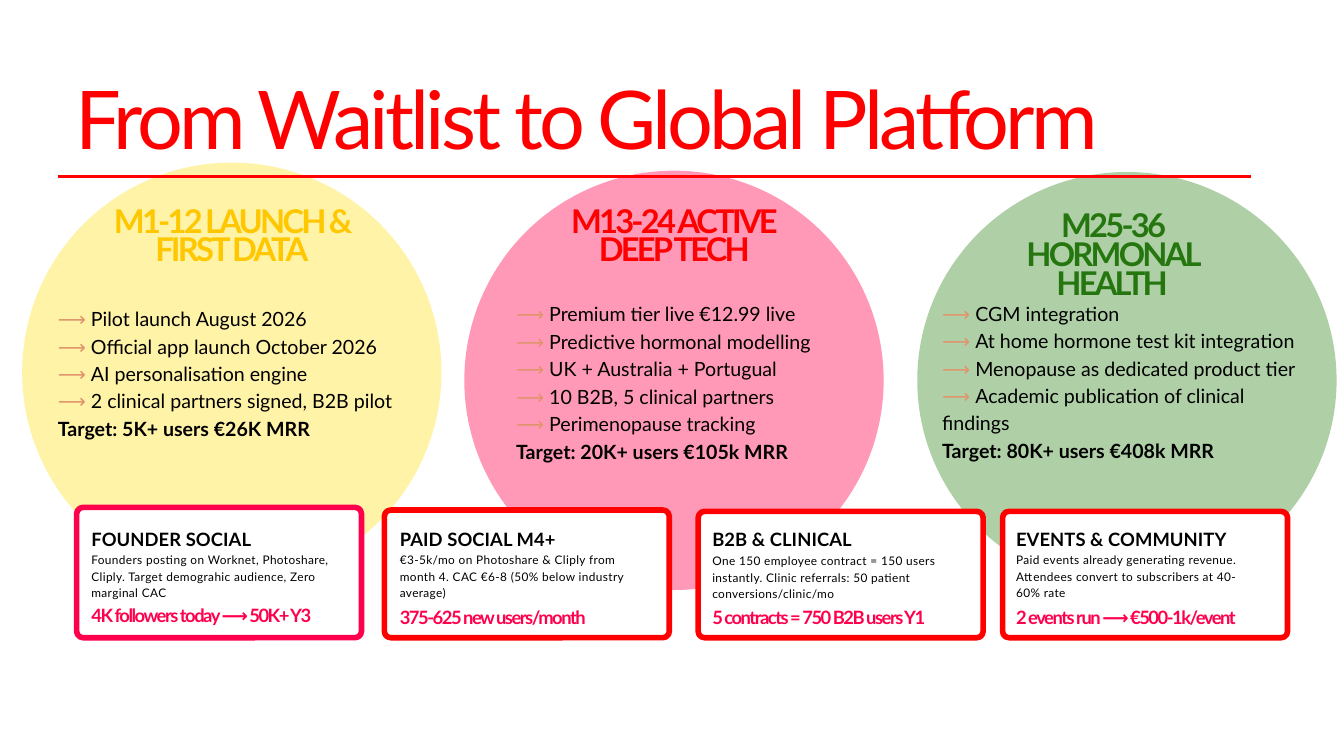
"""Build the roadmap slide with three phases and four growth channels."""
from lxml import etree
from pptx import Presentation
from pptx import util as u
from pptx.dml.color import RGBColor
from pptx.enum import shapes, text
from pptx.oxml import ns

COLORS = {
    "red": "FF0000", "pink": "FF004D", "yellow": "FFE324", "gold": "FFC700",
    "green": "398B24", "forest": "25760F", "arrow": "E1946C",
    "black": "000000", "white": "FFFFFF",
}
ARROW = "⟶ "


def rgb(name):
    return RGBColor.from_string(COLORS[name])


def add_text(content, at, size, leading, color="black", bold=False, spacing=0, center=False, goals=False):
    tf = s.shapes.add_textbox(*map(u.Inches, at)).text_frame
    tf.word_wrap = True
    tf.margin_left = tf.margin_right = tf.margin_top = tf.margin_bottom = 0
    for i, line in enumerate(content.split("\n")):
        p = tf.paragraphs[0] if i == 0 else tf.add_paragraph()
        p.line_spacing = u.Pt(leading)
        p.alignment = text.PP_ALIGN.CENTER if center else text.PP_ALIGN.LEFT
        parts = [(line, color, bold)]
        if goals:
            is_target = line.startswith("Target:")
            parts = [(line, color, is_target)]
            if not is_target:
                parts.insert(0, (ARROW, "arrow", False))
        for words, shade, strong in parts:
            r = p.add_run()
            r.text = words
            r.font.name = "Lato"
            r.font.size = u.Pt(size)
            r.font.bold = strong
            r.font.color.rgb = rgb(shade)
            if spacing:
                r.font._element.set("spc", str(round(spacing * 100)))


prs = Presentation()
prs.slide_width, prs.slide_height = u.Inches(20), u.Inches(11.25)
s = prs.slides.add_slide(prs.slide_layouts[6])

phases = [
    ("yellow", (0.33, 2.42, 6.24, 6.24), "gold", "M1-12 LAUNCH & FIRST DATA", (1.68, 3.14, 3.54, 0.9),
     "Pilot launch August 2026\nOfficial app launch October 2026\nAI personalisation engine\n"
     "2 clinical partners signed, B2B pilot\nTarget: 5K+ users €26K MRR", (0.86, 4.51, 5.18, 2.02)),
    ("pink", (6.91, 2.54, 6.24, 6.24), "red", "M13-24 ACTIVE\nDEEP TECH", (8.13, 3.14, 3.81, 0.9),
     "Premium tier live €12.99 live\nPredictive hormonal modelling\nUK + Australia + Portugual\n"
     "10 B2B, 5 clinical partners\nPerimenopause tracking\nTarget: 20K+ users €105k MRR",
     (7.68, 4.44, 5.1, 2.43)),
    ("green", (13.65, 2.56, 6.24, 6.2), "forest", "M25-36 HORMONAL HEALTH", (14.49, 3.21, 4.12, 0.9),
     "CGM integration\nAt home hormone test kit integration\nMenopause as dedicated product tier\n"
     "Academic publication of clinical findings\nTarget: 80K+ users €408k MRR", (14.02, 4.43, 5.51, 2.43)),
]
for fill, circle, color, heading, heading_at, goals, goals_at in phases:
    sp = s.shapes.add_shape(shapes.MSO_SHAPE.OVAL, *map(u.Inches, circle))
    sp.shadow.inherit = False
    sp.fill.solid()
    sp.fill.fore_color.rgb = rgb(fill)
    sp.line.fill.background()
    tint = sp._element.spPr.find(ns.qn("a:solidFill"))[0]
    etree.SubElement(tint, ns.qn("a:alpha"), val="40000")
    add_text(heading, heading_at, 35, 30.8, color=color, bold=True, spacing=-3, center=True)
    add_text(goals, goals_at, 21, 29.4, goals=True)

card_bottom = 9.49
channels = [
    (1.14, 7.55, "pink", 1.36, 7.8, 8.19, 8.94, 3.77, "FOUNDER SOCIAL",
     "Founders posting on Worknet, Photoshare, Cliply. Target demograhic audience, Zero marginal CAC",
     "4K followers today ⟶ 50K+ Y3"),
    (5.72, 7.59, "red", 5.95, 7.8, 8.19, 8.97, 3.55, "PAID SOCIAL M4+",
     "€3-5k/mo on Photoshare & Cliply from month 4. CAC €6-8 (50% below industry average)",
     "375-625 new users/month"),
    (10.39, 7.61, "red", 10.6, 7.81, 8.21, 8.97, 3.76, "B2B & CLINICAL",
     "One 150 employee contract = 150 users instantly. Clinic referrals: 50 patient conversions/clinic/mo",
     "5 contracts = 750 B2B users Y1"),
    (14.92, 7.61, "red", 15.12, 7.8, 8.19, 8.97, 3.61, "EVENTS & COMMUNITY",
     "Paid events already generating revenue. Attendees convert to subscribers at 40-60% rate",
     "2 events run ⟶ €500-1k/event"),
]
for left, top, border, x, name_y, detail_y, result_y, width, name, detail, result in channels:
    sp = s.shapes.add_shape(shapes.MSO_SHAPE.ROUNDED_RECTANGLE, u.Inches(left), u.Inches(top),
                            u.Inches(4.24), u.Inches(card_bottom - top))
    sp.adjustments[0] = 0.05
    sp.shadow.inherit = False
    sp.fill.solid()
    sp.fill.fore_color.rgb = rgb("white")
    sp.line.color.rgb = rgb(border)
    sp.line.width = u.Pt(6)
    add_text(name, (x, name_y, 3.45, 0.35), 19.7, 27.5, bold=True, spacing=0.1)
    add_text(detail, (x, detail_y, width, 0.71), 12.7, 17.7, spacing=0.4)
    add_text(result, (x, result_y, 3.77, 0.35), 19.7, 27.5, color="pink", bold=True, spacing=-1.6)

add_text("From Waitlist to Global Platform", (1.12, 1.4, 16.76, 1.16), 86.7, 77.2, color="red", spacing=-4.2)
rule = s.shapes.add_connector(shapes.MSO_CONNECTOR.STRAIGHT, u.Inches(0.86), u.Inches(2.63),
                              u.Inches(18.61), u.Inches(2.63))
rule.line.color.rgb = rgb("red")
rule.line.width = u.Pt(3)
etree.SubElement(rule._element.spPr, ns.qn("a:effectLst"))

prs.save("out.pptx")
